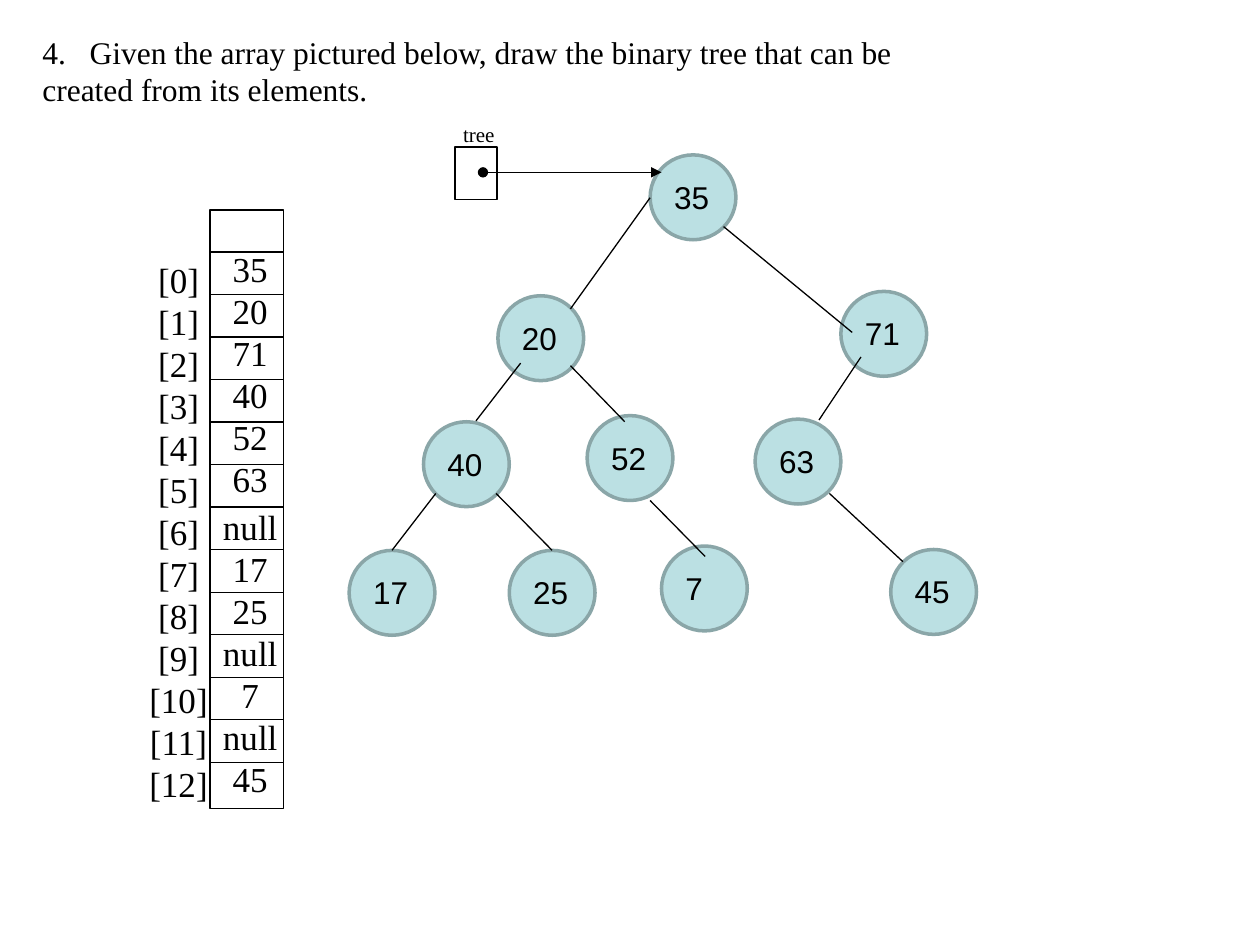
from pptx import Presentation
from pptx.util import Pt
from pptx.dml.color import RGBColor
from pptx.enum.shapes import MSO_CONNECTOR, MSO_SHAPE
from pptx.enum.text import MSO_ANCHOR, PP_ALIGN
from lxml import etree

RECT, OVAL = MSO_SHAPE.RECTANGLE, MSO_SHAPE.OVAL
STRAIGHT = MSO_CONNECTOR.STRAIGHT
LEFT, CENTER = PP_ALIGN.LEFT, PP_ALIGN.CENTER
TOP = MSO_ANCHOR.TOP
A = "{http://schemas.openxmlformats.org/drawingml/2006/main}"
SERIF, SANS = "Times New Roman", "Arial"
COLORS = {"ink": "000000", "node": "BBE0E3", "ring": "8AA6A8"}

QUESTION = ["Given the array pictured below, draw the binary tree that can be",
            "created from its elements."]
VALUES = ["35", "20", "71", "40", "52", "63", "null", "17", "25", "null", "7", "null", "45"]
NODES = [("35", 371.5, 88.5), ("20", 284.5, 169), ("71", 480.5, 166.5),
         ("40", 242, 241), ("52", 335.5, 237.5), ("63", 431.5, 239.5),
         ("17", 199.5, 314.5), ("25", 291, 314.5), ("7", 378, 312), ("45", 509, 314)]
EDGES = [(371.5, 113, 326, 176.5), (413.5, 129.5, 487, 190),
         (297.5, 207.5, 272, 240.5), (326, 209, 357, 241),
         (492, 204, 468, 240), (249, 282, 224, 314.5),
         (283.5, 282, 315.5, 314.5), (371.5, 286, 403, 318),
         (474, 282, 516, 321)]
NODE_W, NODE_H = 49, 48.5
ARRAY_X, ARRAY_Y, ARRAY_W, ARRAY_H = 120, 120, 42, 342
RULE_Y, ROW_H = 144, 24.3

prs = Presentation()
prs.slide_width, prs.slide_height = Pt(720), Pt(540)
s = prs.slides.add_slide(prs.slide_layouts[5])


def rgb(name):
    return RGBColor.from_string(COLORS[name])


def write(tf, lines, size, font, align=LEFT, wrap=False, insets=(7.2, 3.6, 7.2, 3.6)):
    tf.word_wrap = wrap
    tf.vertical_anchor = TOP
    for side, value in zip(("left", "top", "right", "bottom"), insets):
        setattr(tf, "margin_" + side, Pt(value))
    for i, line in enumerate(lines):
        p = tf.paragraphs[0] if i == 0 else tf.add_paragraph()
        p.alignment = align
        p.line_spacing = Pt(size * 1.2)
        r = p.add_run()
        r.text = line
        for key, value in {"size": Pt(size), "name": font}.items():
            setattr(r.font, key, value)
        r.font.color.rgb = rgb("ink")


def text(x, y, w, h, lines, size, **fmt):
    sp = s.shapes.add_textbox(Pt(x), Pt(y), Pt(w), Pt(h))
    write(sp.text_frame, lines, size, SERIF, **fmt)
    return sp


def shape(kind, x, y, w, h, fill=None, line="ink", width=0.75):
    sp = s.shapes.add_shape(kind, Pt(x), Pt(y), Pt(w), Pt(h))
    sp.shadow.inherit = False
    if fill:
        sp.fill.solid()
        sp.fill.fore_color.rgb = rgb(fill)
    else:
        sp.fill.background()
    sp.line.color.rgb = rgb(line)
    sp.line.width = Pt(width)
    return sp


def connect(x1, y1, x2, y2):
    c = s.shapes.add_connector(STRAIGHT, Pt(x1), Pt(y1), Pt(x2), Pt(y2))
    c.line.color.rgb = rgb("ink")
    c.line.width = Pt(0.75)
    etree.SubElement(c._element.spPr, A + "effectLst")
    return c


title = s.shapes.title
for key, value in {"left": 17, "top": 15, "width": 505.5, "height": 51}.items():
    setattr(title, key, Pt(value))
write(title.text_frame, QUESTION, 18, SERIF)
pPr = title.text_frame.paragraphs[0]._p.get_or_add_pPr()
pPr.set("marL", str(Pt(27)))
pPr.set("indent", str(-Pt(27)))
etree.SubElement(pPr, A + "buFont", typeface="+mj-lt")
etree.SubElement(pPr, A + "buAutoNum", type="arabicPeriod", startAt="4")

shape(RECT, ARRAY_X, ARRAY_Y, ARRAY_W, ARRAY_H)
for i in range(len(VALUES)):
    y = RULE_Y + i * ROW_H
    connect(ARRAY_X, y, ARRAY_X + ARRAY_W, y)
indexes = [f"[{i}]" for i in range(len(VALUES))]
text(78, 144, 48, 322.5, indexes, 20, align=CENTER)
cells = text(120, 138, 46, 322.5, VALUES, 20, align=CENTER)
cells.text_frame.paragraphs[VALUES.index("null")].space_before = Pt(3)

for label, x, y in NODES:
    node = shape(OVAL, x, y, NODE_W, NODE_H, "node", "ring", 2)
    write(node.text_frame, [label], 18, SANS, wrap=True, insets=(6.5, 6, 0, 0))
for edge in EDGES:
    connect(*edge)

shape(RECT, 260, 84, 24, 30)
text(257.5, 66, 32.5, 21.5, ["tree"], 12)
pointer = connect(276, 98.5, 378, 98.5)
ln = pointer.line._get_or_add_ln()
etree.SubElement(ln, A + "headEnd", type="oval")
etree.SubElement(ln, A + "tailEnd", type="triangle")

prs.save("out.pptx")
